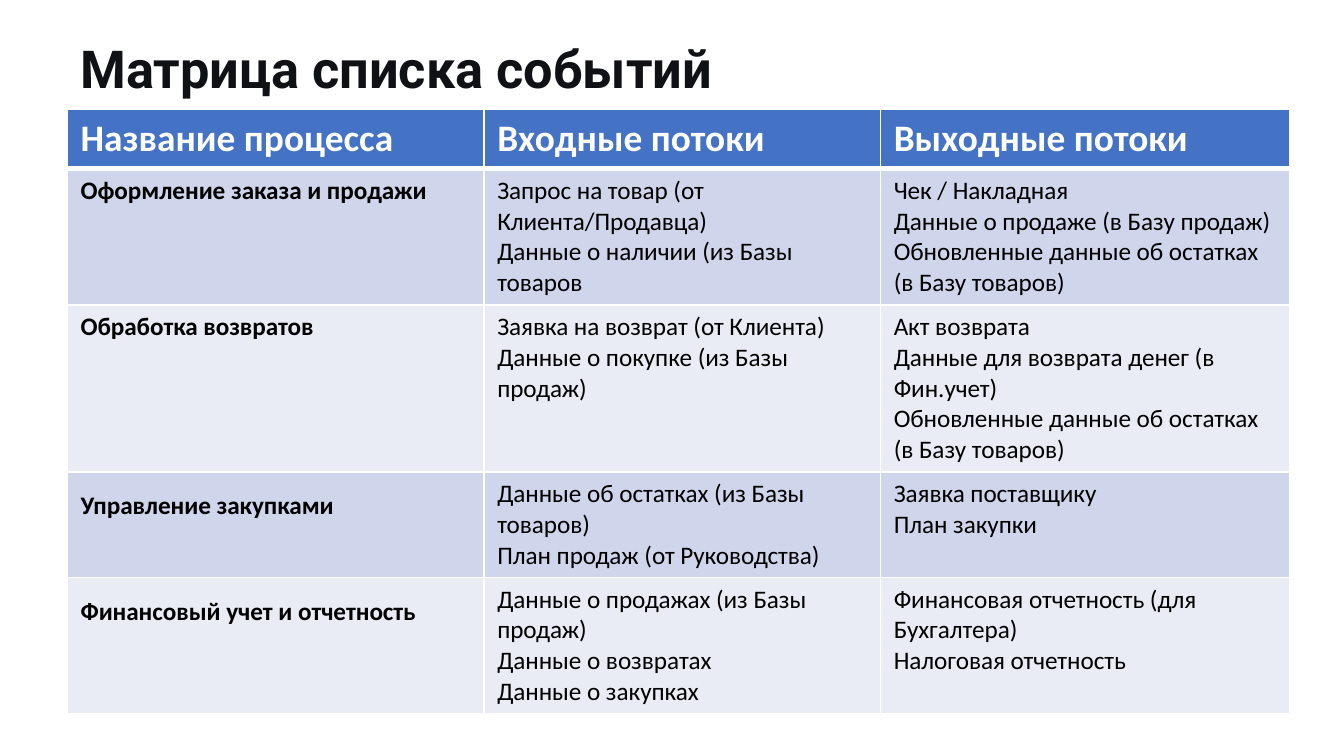
"""Build a slide with the matrix of business events and their flows."""
from dataclasses import dataclass

from lxml.etree import SubElement as Sub
from pptx import Presentation as Deck
from pptx.dml.color import RGBColor as Rgb
from pptx.enum.text import MSO_ANCHOR as Anchor, PP_ALIGN as Align
from pptx.oxml.ns import qn
from pptx.util import Pt

WHITE, BLACK, INK = "FFFFFF", "000000", "0F1115"
BLUE, BANDS = "4472C4", ("CFD5EA", "E9EBF5")
WIDTHS = (223.2, 212.4, 219.6)


@dataclass
class Row:
    name: str
    inputs: str
    outputs: str
    height: float
    drop: float = 3.6


HEAD = Row("Название процесса", "Входные потоки", "Выходные потоки", 31.3)
ROWS = (
    Row("Оформление заказа и продажи",
        "Запрос на товар (от Клиента/Продавца)\vДанные о наличии (из Базы товаров",
        "Чек / Накладная\vДанные о продаже (в Базу продаж)\v"
        "Обновленные данные об остатках (в Базу товаров)", 73),
    Row("Обработка возвратов",
        "Заявка на возврат (от Клиента)\vДанные о покупке (из Базы продаж)",
        "Акт возврата\vДанные для возврата денег (в Фин.учет)\v"
        "Обновленные данные об остатках (в Базу товаров)", 89.4),
    Row("Управление закупками",
        "Данные об остатках (из Базы товаров)\vПлан продаж (от Руководства)",
        "Заявка поставщику\vПлан закупки", 56.5, 10),
    Row("Финансовый учет и отчетность",
        "Данные о продажах (из Базы продаж)\vДанные о возвратах\vДанные о закупках",
        "Финансовая отчетность (для Бухгалтера)\vНалоговая отчетность", 73, 10),
)


def color(code: str) -> Rgb:
    """Turn a hex string into a colour."""
    return Rgb.from_string(code)


def style(part, face: str, size: float, code: str, bold: bool) -> None:
    """Format every run and line break of a paragraph."""
    for run in part.runs:
        font = run.font
        font.name, font.size, font.bold = face, Pt(size), bold
        font.color.rgb = color(code)
    for stop in part._p.findall(qn("a:br")):
        Sub(stop, qn("a:rPr"), sz=str(round(size * 100)))


def edge(cell, side: str, width: float) -> None:
    """Draw one white border of a cell."""
    line = Sub(cell._tc.get_or_add_tcPr(), qn(f"a:ln{side}"), w=str(Pt(width)))
    Sub(Sub(line, qn("a:solidFill")), qn("a:srgbClr"), val=WHITE)


def put_cell(cell, text: str, size: float, ink: str, bold: bool, fill: str,
             top: float, base: float) -> None:
    """Fill one cell with text, borders and colour."""
    cell.text_frame.text = text
    style(cell.text_frame.paragraphs[0], "Calibri", size, ink, bold)
    for side, width in zip("LRTB", (1, 1, top, base)):
        edge(cell, side, width)
    cell.fill.solid()
    cell.fill.fore_color.rgb = color(fill)


def put_title(slide, text: str) -> None:
    """Place and format the slide title."""
    title = slide.shapes.title
    title.left, title.top, title.width, title.height = map(Pt, (36, 17.3, 537, 41.8))
    frame = title.text_frame
    frame.text, frame.vertical_anchor = text, Anchor.MIDDLE
    part = frame.paragraphs[0]
    part.alignment, part.line_spacing = Align.LEFT, 0.9
    style(part, "Roboto", 28, INK, True)


def put_table(slide) -> None:
    """Draw the header and the banded rows."""
    rows = (HEAD, *ROWS)
    high = sum(row.height for row in rows)
    box = slide.shapes.add_table(len(rows), len(WIDTHS), Pt(36), Pt(58.7),
                                 Pt(sum(WIDTHS)), Pt(high))
    grid = box.table
    grid.horz_banding = False
    for col, width in zip(grid.columns, WIDTHS):
        col.width = Pt(width)
    for i, row in enumerate(rows):
        grid.rows[i].height = Pt(row.height)
        head = i == 0
        size, ink = (20, WHITE) if head else (13.5, BLACK)
        fill = BLUE if head else BANDS[(i - 1) % 2]
        for j, text in enumerate((row.name, row.inputs, row.outputs)):
            put_cell(grid.cell(i, j), text, size, ink, head or j == 0, fill,
                     3 if i == 1 else 1, 3 if head else 1)
        grid.cell(i, 0).margin_top = Pt(row.drop)


def main() -> None:
    """Build and save the deck."""
    deck = Deck()
    deck.slide_width, deck.slide_height = Pt(720), Pt(405)
    slide = deck.slides.add_slide(deck.slide_layouts[5])
    put_title(slide, "Матрица списка событий")
    put_table(slide)
    deck.save("out.pptx")


if __name__ == "__main__":
    main()
